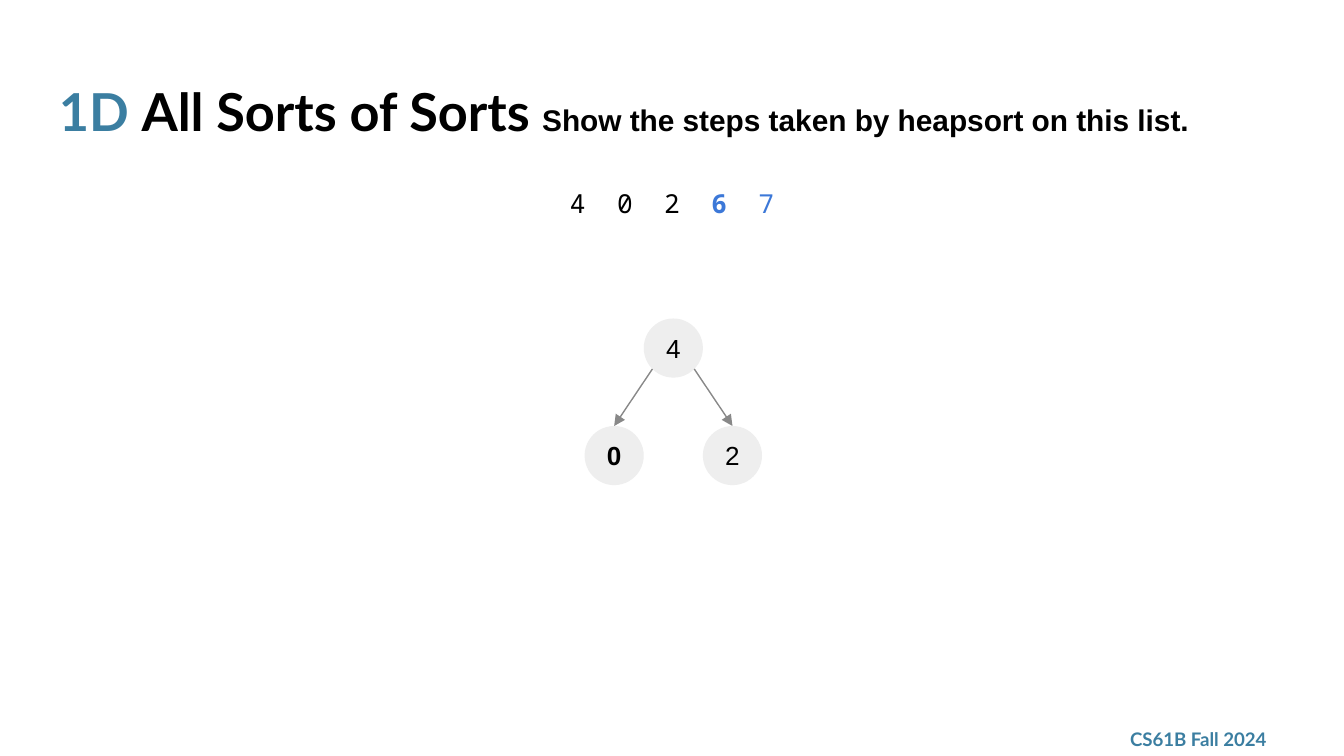
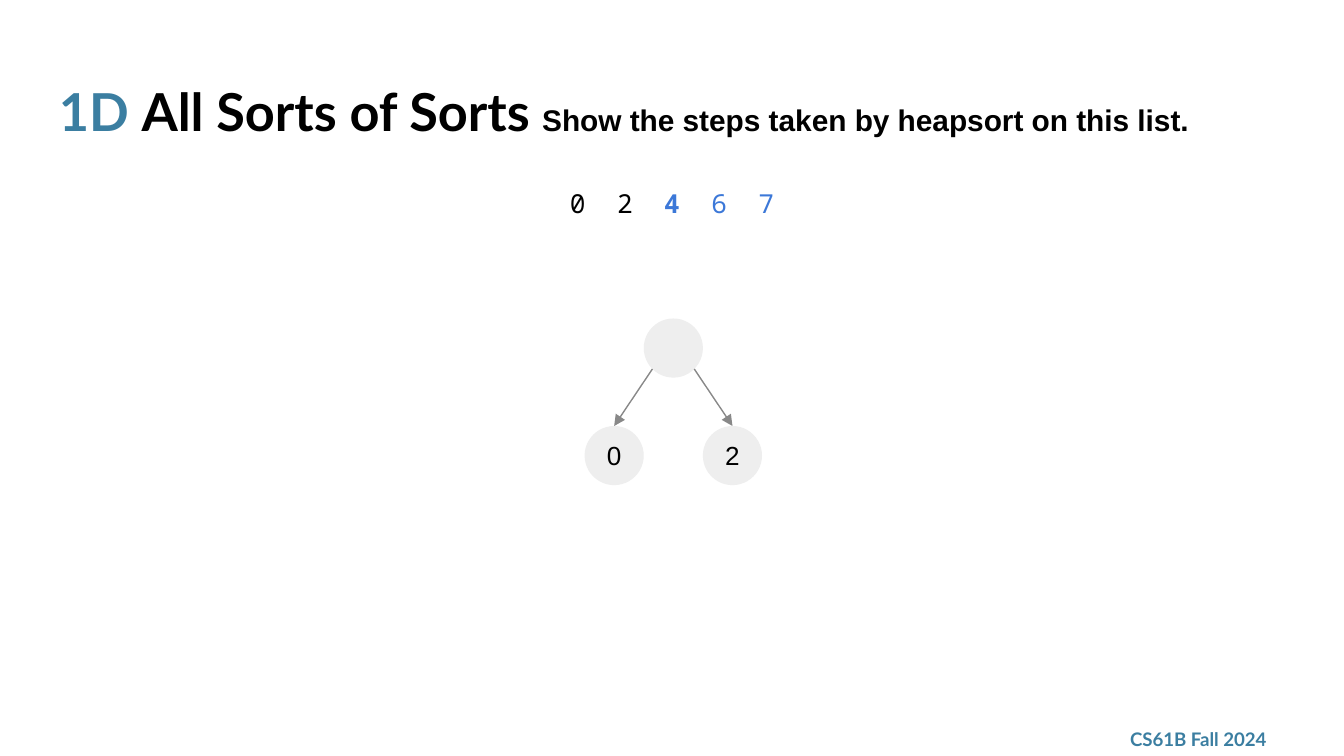
from lxml import etree
from pptx import Presentation
from pptx.dml.color import RGBColor
from pptx.enum.shapes import MSO_CONNECTOR, MSO_SHAPE
from pptx.enum.text import MSO_ANCHOR, PP_ALIGN
from pptx.oxml.ns import qn
from pptx.util import Inches, Pt

OVAL, LINE = MSO_SHAPE.OVAL, MSO_CONNECTOR.STRAIGHT
TOP, MID = MSO_ANCHOR.TOP, MSO_ANCHOR.MIDDLE
LEFT, MIDDLE = PP_ALIGN.LEFT, PP_ALIGN.CENTER

# Content: "new" is the digit just sorted, "done" where the sorted part starts
STEPS = [
    {"list": "40267", "new": 3, "done": 3, "heap": ["4", "0", "2"], "bold": 1},
    {"list": "02467", "new": 2, "done": 2, "heap": ["", "0", "2"], "bold": None},
]
TITLE = ["1D ", "All Sorts of Sorts ",
         "Show the steps taken by heapsort on this list."]
FOOTER = "CS61B Fall 2024"

# Shared style
COLORS = {"head": "3B7EA1", "text": "000000", "done": "3C78D8",
          "node": "EEEEEE", "edge": "888888"}
HEAD, BODY, MONO = "Lato", "Arial", "Noto Sans Mono"

# Layout in inches, on a 16:9 slide
WIDE = 10
HIGH = WIDE * 9 / 16
EDGE = 0.34
SPAN = WIDE - 2 * EDGE
SIZE = 0.44
ROOT = (5.01, 2.59)
DROP = 0.8
REACH = 0.44
NODES = [ROOT] + [(ROOT[0] + side * REACH, ROOT[1] + DROP) for side in (-1, 1)]
GAP = 8.4  # extra width of a space in the list, one digit in points


def tint(name):
    return RGBColor.from_string(COLORS[name])


def add_run(par, text, face, size, color, bold=False):
    run = par.add_run()
    run.text = text
    font = run.font
    font.name, font.size, font.bold = face, Pt(size), bold
    font.color.rgb = tint(color)
    return run


def set_frame(shape, align, anchor):
    frame = shape.text_frame
    frame.word_wrap = True
    frame.vertical_anchor = anchor
    frame.margin_left = frame.margin_right = Inches(0.1)
    frame.margin_top = frame.margin_bottom = Inches(0.1)
    par = frame.paragraphs[0]
    par.alignment = align
    return par


def add_box(slide, area, align=LEFT, anchor=TOP):
    box = slide.shapes.add_textbox(*map(Inches, area))
    return set_frame(box, align, anchor)


def add_frame(slide):
    # Footer and title
    par = add_box(slide, (8.31, 5.37, 1.35, 0.26), anchor=MID)
    add_run(par, FOOTER, HEAD, 10, "head", True)
    par = add_box(slide, (EDGE, 0.49, SPAN, 0.63))
    looks = [(HEAD, 28, "head"), (HEAD, 28, "text"), (BODY, 16, "text")]
    for text, look in zip(TITLE, looks):
        add_run(par, text, *look, True)


def add_list(slide, step):
    par = add_box(slide, (EDGE, 1.26, SPAN, 0.46), MIDDLE)
    par.line_spacing, par.space_after = 1.15, Pt(16)
    for i, digit in enumerate(step["list"]):
        color = "done" if i >= step["done"] else "text"
        if i:
            space = add_run(par, " ", MONO, 14, color)
            space.font._element.set("spc", str(round(GAP * 100)))
        add_run(par, digit, MONO, 14, color, i == step["new"])


def add_node(slide, spot, text, bold):
    x, y = spot
    area = (x - SIZE / 2, y - SIZE / 2, SIZE, SIZE)
    node = slide.shapes.add_shape(OVAL, *map(Inches, area))
    node.shadow.inherit = False
    node.fill.solid()
    node.fill.fore_color.rgb = tint("node")
    node.line.fill.background()
    par = set_frame(node, MIDDLE, MID)
    if text:
        add_run(par, text, BODY, 14, "text", bold)


def add_edge(slide, start, end):
    # From the lower diagonal of the parent to the top of the child
    shift = SIZE / 2 * 0.5 ** 0.5
    side = 1 if end[0] > start[0] else -1
    ends = (start[0] + side * shift, start[1] + shift,
            end[0], end[1] - SIZE / 2)
    edge = slide.shapes.add_connector(LINE, *map(Inches, ends))
    edge.line.color.rgb = tint("edge")
    edge.line.width = Pt(0.75)
    etree.SubElement(edge.line._get_or_add_ln(), qn("a:tailEnd"),
                     type="triangle")
    etree.SubElement(edge._element.spPr, qn("a:effectLst"))


def main():
    deck = Presentation()
    deck.slide_width, deck.slide_height = Inches(WIDE), Inches(HIGH)
    for step in STEPS:
        slide = deck.slides.add_slide(deck.slide_layouts[6])
        add_frame(slide)
        # Heap tree
        for i, (spot, text) in enumerate(zip(NODES, step["heap"])):
            add_node(slide, spot, text, i == step["bold"])
        add_list(slide, step)
        for child in NODES[1:]:
            add_edge(slide, ROOT, child)
    deck.save("out.pptx")


if __name__ == "__main__":
    main()
